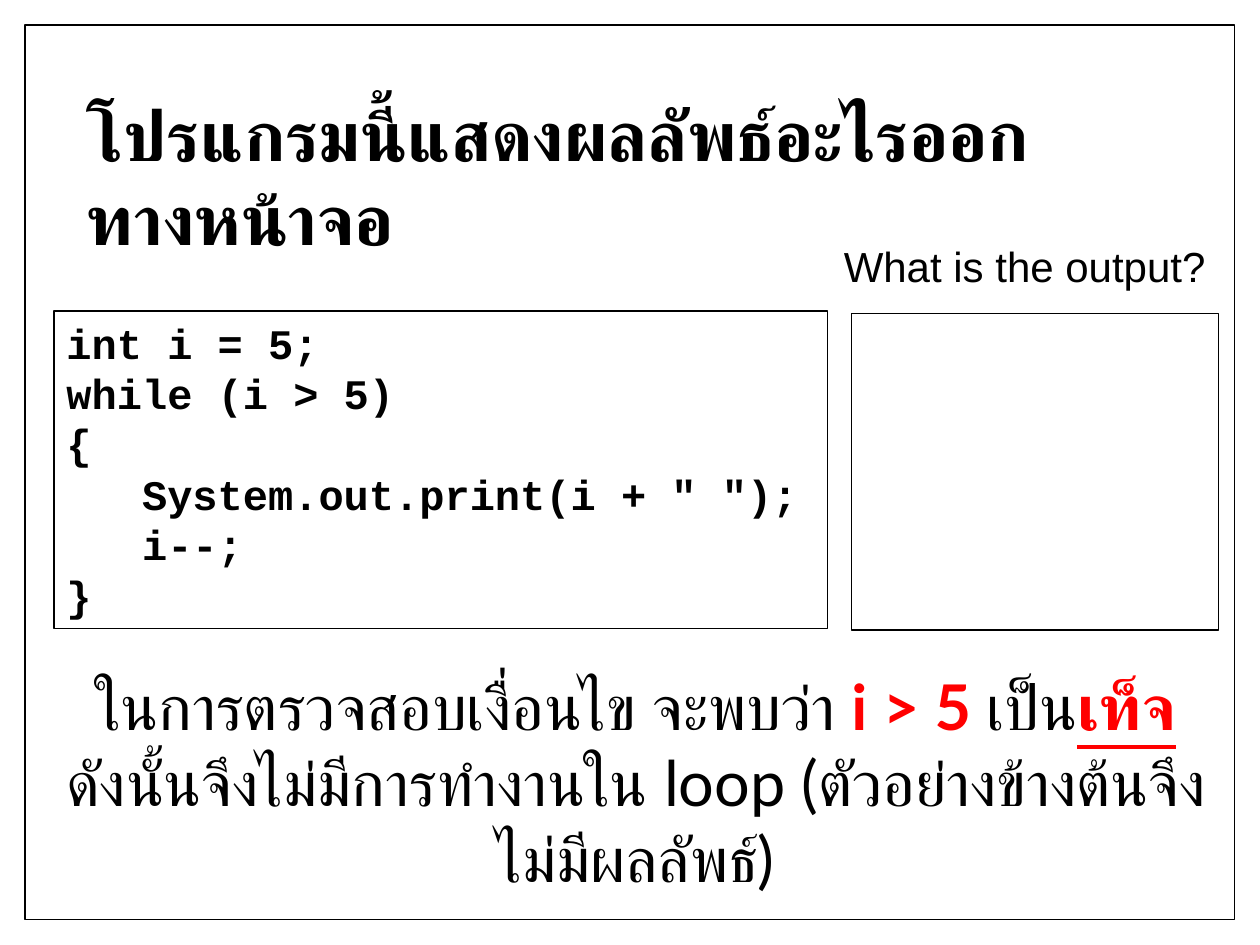
from dataclasses import dataclass

import pptx
import pptx.dml.color
import pptx.enum.shapes
import pptx.enum.text
import pptx.util
from lxml import etree
from pptx.oxml.ns import qn
from pptx.util import Cm, Pt

BLACK = pptx.dml.color.RGBColor(0x00, 0x00, 0x00)
WHITE = pptx.dml.color.RGBColor(0xFF, 0xFF, 0xFF)
RED = pptx.dml.color.RGBColor(0xFF, 0x00, 0x00)
ALIGN = pptx.enum.text.PP_ALIGN


@dataclass(frozen=True)
class Area:
    """Position and size in centimetres."""
    left: float
    top: float
    width: float
    height: float

    def lengths(self) -> tuple:
        return Cm(self.left), Cm(self.top), Cm(self.width), Cm(self.height)


@dataclass(frozen=True)
class Piece:
    text: str
    color: pptx.dml.color.RGBColor = BLACK
    bold: bool = False
    underline: bool = False
    break_after: bool = False


@dataclass(frozen=True)
class TextStyle:
    font: str
    size: int
    align: ALIGN = ALIGN.LEFT


FRAME = Area(0.51, 0.51, 24.38, 18.03)
CODE_BOX = Area(1.09, 6.27, 15.6, 6.4)
OUTPUT_BOX = Area(17.17, 6.32, 7.39, 6.38)
TITLE = Area(1.5, 1.73, 19.99, 1.96)
QUESTION = Area(16.76, 4.72, 8.23, 1.78)
EXPLANATION = Area(1.04, 13.34, 23.52, 3.33)

CODE_LINES = [
    "int i = 5;",
    "while (i > 5)",
    "{",
    "   System.out.print(i + \" \");",
    "   i--;",
    "}",
]
EXPLANATION_PIECES = [
    Piece("ในการตรวจสอบเงื่อนไข จะพบว่า "),
    Piece("i > 5 ", RED, bold=True),
    Piece("เป็น"),
    Piece("เท็จ", RED, bold=True, underline=True, break_after=True),
    Piece("ดังนั้นจึงไม่มีการทำงานใน loop (ตัวอย่างข้างต้นจึงไม่มีผลลัพธ์)"),
]


def add_box(slide, area: Area, line_width: float, filled: bool = False):
    shape = slide.shapes.add_shape(
        pptx.enum.shapes.MSO_SHAPE.RECTANGLE, *area.lengths())
    shape.shadow.inherit = False
    if filled:
        shape.fill.solid()
        shape.fill.fore_color.rgb = WHITE
    else:
        shape.fill.background()
    shape.line.color.rgb = BLACK
    shape.line.width = Pt(line_width)
    return shape


def write_text(shape, paragraphs: list[list[Piece]], style: TextStyle) -> None:
    frame = shape.text_frame
    frame.word_wrap = True
    frame.vertical_anchor = pptx.enum.text.MSO_ANCHOR.TOP
    for index, pieces in enumerate(paragraphs):
        paragraph = frame.add_paragraph() if index else frame.paragraphs[0]
        paragraph.alignment = style.align
        for piece in pieces:
            run = paragraph.add_run()
            run.text = piece.text
            format_run(run, piece, style)
            if piece.break_after:
                paragraph.add_line_break()


def format_run(run, piece: Piece, style: TextStyle) -> None:
    """Apply the style, naming the font for Thai letters as well."""
    run.font.name = style.font
    run.font.size = Pt(style.size)
    run.font.bold = piece.bold
    run.font.underline = piece.underline
    run.font.color.rgb = piece.color
    properties = run.font._element if hasattr(run.font, "_element") else run._r.get_or_add_rPr()
    etree.SubElement(properties, qn("a:cs"), typeface=style.font)


def main() -> None:
    presentation = pptx.Presentation()
    presentation.slide_width = Cm(25.4)
    presentation.slide_height = Cm(19.05)
    slide = presentation.slides.add_slide(presentation.slide_layouts[6])

    add_box(slide, FRAME, 1, filled=True)
    write_text(slide.shapes.add_textbox(*QUESTION.lengths()),
               [[Piece("What is the output?")]], TextStyle("Arial", 24))
    write_text(add_box(slide, CODE_BOX, 0.75),
               [[Piece(line, bold=True)] for line in CODE_LINES],
               TextStyle("Courier New", 24))
    add_box(slide, OUTPUT_BOX, 0.75)
    write_text(slide.shapes.add_textbox(*TITLE.lengths()),
               [[Piece("โปรแกรมนี้แสดงผลลัพธ์อะไรออกทางหน้าจอ", bold=True)]],
               TextStyle("Lato", 40))
    write_text(slide.shapes.add_textbox(*EXPLANATION.lengths()),
               [EXPLANATION_PIECES], TextStyle("Lato", 36, ALIGN.CENTER))

    presentation.save("out.pptx")


if __name__ == "__main__":
    main()
